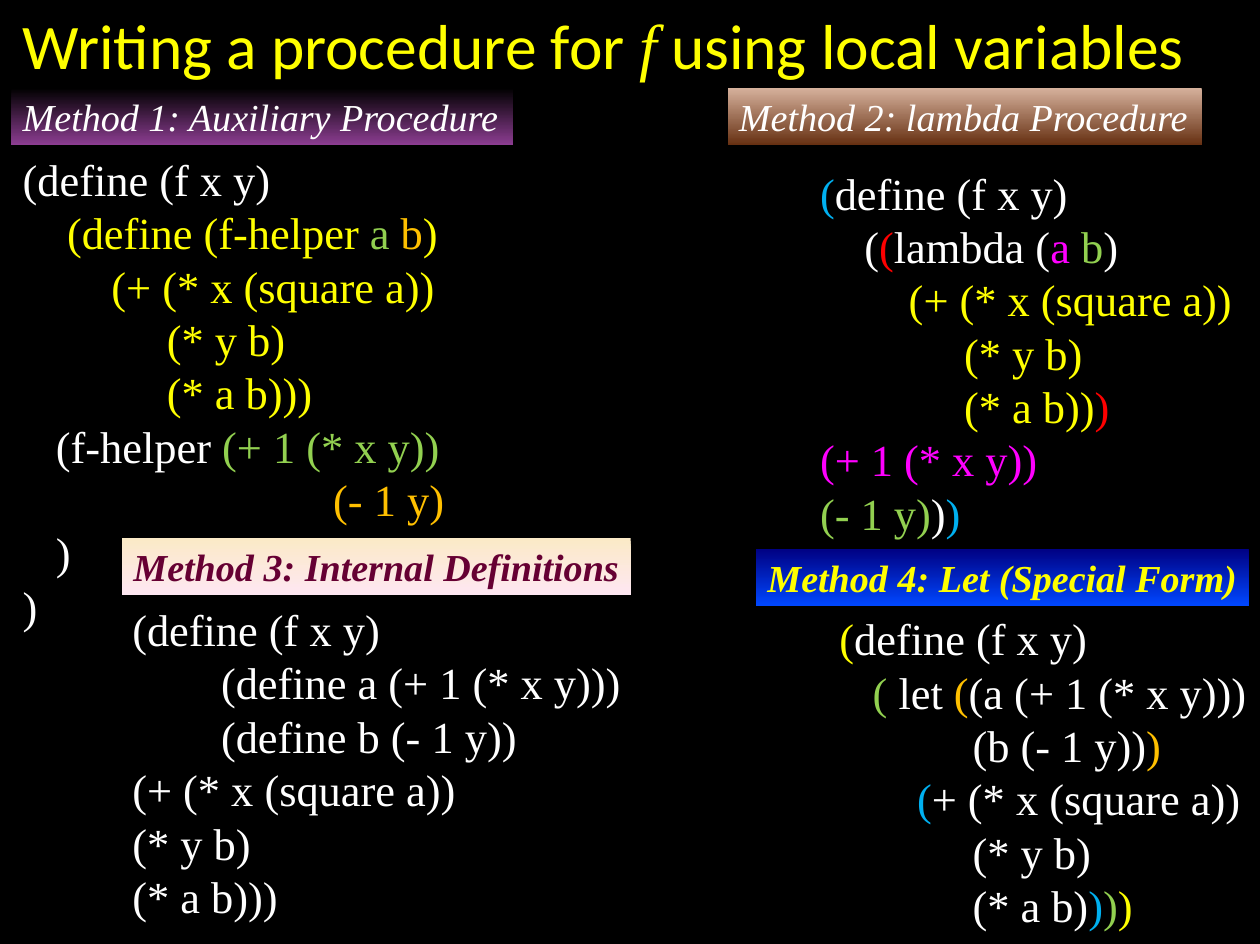
from pptx import Presentation
from pptx.dml.color import RGBColor
from pptx.enum.shapes import MSO_SHAPE
from pptx.enum.text import MSO_ANCHOR, PP_ALIGN
from pptx.util import Inches, Pt

RECT = MSO_SHAPE.RECTANGLE
TOP = MSO_ANCHOR.TOP
LEFT = PP_ALIGN.LEFT
SERIF, SANS = "Times New Roman", "Calibri"

COLORS = {
    "black": "000000", "white": "FFFFFF", "yellow": "FFFF00",
    "green": "92D050", "gold": "FFC000", "sky": "00B0F0",
    "red": "FF0000", "pink": "FF00FF", "wine": "660033",
    "plum": "8C3D91", "tan": "D6B19C", "brown": "663012",
    "navy": "000082", "blue": "0047FF", "cream": "FBEAC7", "blush": "FEE7F2",
}

TITLE = [("Writing a procedure for ", SANS), ("f", SERIF),
         (" using local variables", SANS)]

# text, box, gradient from top to bottom, text color, bold
BANNERS = [
    ("Method 1: Auxiliary Procedure", (0.1, 0.77, 4.39, 0.5),
     ("black", "plum"), "white", False),
    ("Method 2: lambda Procedure", (6.37, 0.77, 4.15, 0.5),
     ("tan", "brown"), "white", False),
    ("Method 3: Internal Definitions", (1.07, 4.71, 4.45, 0.5),
     ("cream", "blush"), "wine", True),
    ("Method 4: Let (Special Form)", (6.62, 4.8, 4.31, 0.5),
     ("navy", "blue"), "yellow", True),
]

# box, then lines of (text, color) runs
CODE = [
    ((0.1, 1.28, 3.91, 4.31), [
        [("(define (f x y)", "white")],
        [("    (define (f-helper ", "yellow"), ("a ", "green"),
         ("b", "gold"), (")", "yellow")],
        [("        (+ (* x (square a))", "yellow")],
        [("             (* y b)", "yellow")],
        [("             (* a b)))", "yellow")],
        [("   (f-helper ", "white"), ("(+ 1 (* x y))", "green")],
        [("                            (- 1 y)", "gold")],
        [("   )", "white")],
        [(")", "white")],
    ]),
    ((7.08, 1.4, 3.85, 3.37), [
        [("(", "sky"), ("define (f x y)", "white")],
        [("    (", "white"), ("(", "red"), ("lambda (", "white"),
         ("a ", "pink"), ("b", "green"), (")", "white")],
        [("        (+ (* x (square a))", "yellow")],
        [("             (* y b)", "yellow")],
        [("             (* a b))", "yellow"), (")", "red")],
        [("(+ 1 (* x y))", "pink")],
        [("(- 1 y)", "green"), (")", "white"), (")", "sky")],
    ]),
    ((1.06, 5.22, 4.48, 2.9), [
        [("(define (f x y)", "white")],
        [("        (define a (+ 1 (* x y)))", "white")],
        [("        (define b (- 1 y))", "white")],
        [("(+ (* x (square a))", "white")],
        [("(* y b)", "white")],
        [("(* a b)))", "white")],
    ]),
    ((7.25, 5.3, 3.78, 2.9), [
        [("(", "yellow"), ("define (f x y)", "white")],
        [("   (", "green"), (" let ", "white"), ("(", "gold"),
         ("(a (+ 1 (* x y)))", "white")],
        [("            (b (- 1 y))", "white"), (")", "gold")],
        [("       (", "sky"), ("+ (* x (square a))", "white")],
        [("            (* y b)", "white")],
        [("            (* a b)", "white"), (")", "sky"), (")", "green"),
         (")", "yellow")],
    ]),
]


def rgb(name):
    return RGBColor.from_string(COLORS[name])


def add_run(para, text, size, color, face=SERIF, bold=False, italic=False):
    run = para.add_run()
    run.text = text
    font = run.font
    font.name, font.size = face, Pt(size)
    font.bold, font.italic = bold, italic
    font.color.rgb = rgb(color)


def add_text(slide, box):
    frame = slide.shapes.add_textbox(*map(Inches, box)).text_frame
    frame.word_wrap = True
    return frame


def add_banner(slide, text, box, grad, color, bold):
    shape = slide.shapes.add_shape(RECT, *map(Inches, box))
    shape.shadow.inherit = False
    shape.line.fill.background()
    shape.fill.gradient()
    shape.fill.gradient_angle = 270
    for stop, name in zip(shape.fill.gradient_stops, grad):
        stop.color.rgb = rgb(name)
    frame = shape.text_frame
    frame.word_wrap = False
    frame.vertical_anchor = TOP
    para = frame.paragraphs[0]
    para.alignment = LEFT
    add_run(para, text, 24, color, bold=bold, italic=True)


def add_code(slide, box, lines):
    frame = add_text(slide, box)
    for i, line in enumerate(lines):
        para = frame.add_paragraph() if i else frame.paragraphs[0]
        for text, color in line:
            add_run(para, text, 28, color)


def main():
    prs = Presentation()
    prs.slide_width, prs.slide_height = Inches(11.03), Inches(8.26)
    slide = prs.slides.add_slide(prs.slide_layouts[6])
    back = slide.background.fill
    back.solid()
    back.fore_color.rgb = rgb("black")

    title = add_text(slide, (0.1, 0, 10.83, 0.77)).paragraphs[0]
    for text, face in TITLE:
        add_run(title, text, 40, "yellow", face, italic=face == SERIF)
    for box, lines in CODE:
        add_code(slide, box, lines)
    for banner in BANNERS:
        add_banner(slide, *banner)
    prs.save("out.pptx")


if __name__ == "__main__":
    main()
